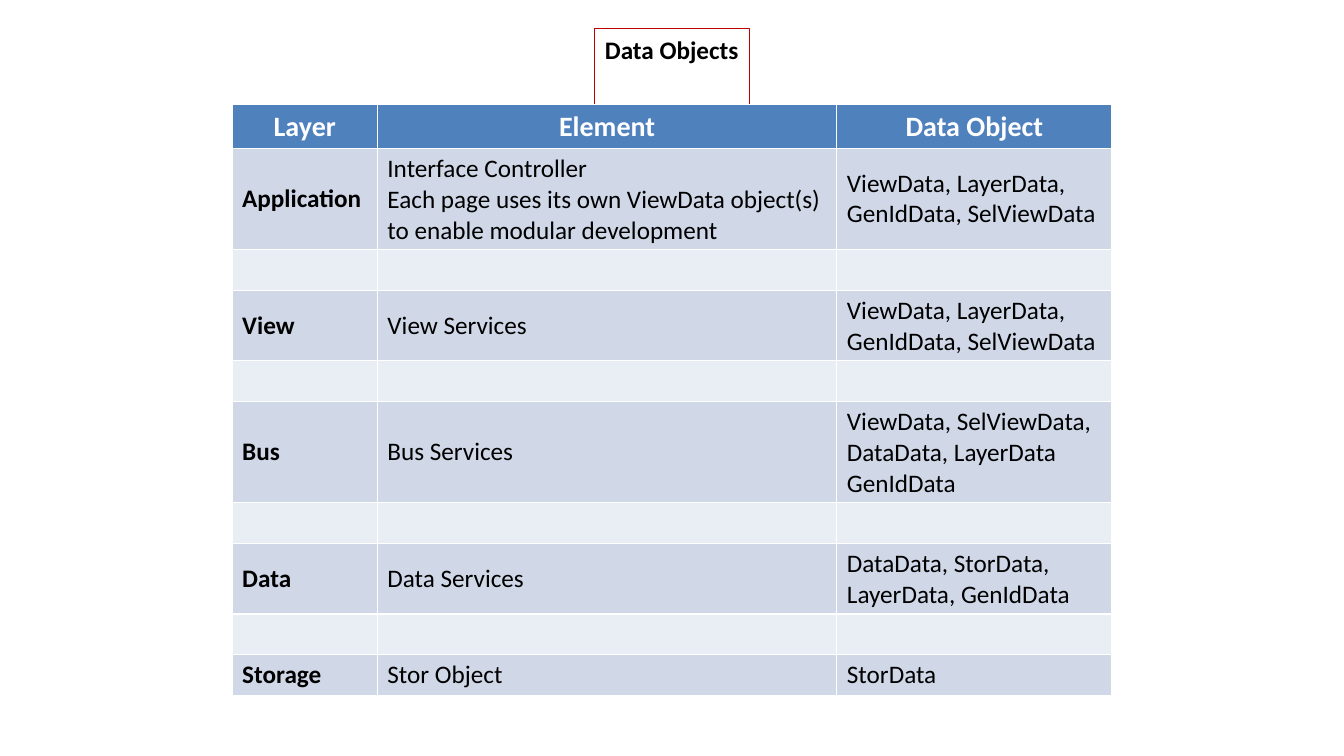
from pptx import Presentation
from pptx.dml.color import RGBColor
from pptx.enum.text import MSO_ANCHOR, MSO_AUTO_SIZE, PP_ALIGN
from pptx.util import Cm, Pt

CENTER = PP_ALIGN.CENTER
LEFT = PP_ALIGN.LEFT
MIDDLE = MSO_ANCHOR.MIDDLE
TOP = MSO_ANCHOR.TOP
FIT_SHAPE = MSO_AUTO_SIZE.SHAPE_TO_FIT_TEXT
TITLE_ONLY = 5
FONT = "Calibri"
COLORS = {
    "header": "4F81BD",
    "layer": "D0D8E8",
    "gap": "E9EDF4",
    "header_text": "FFFFFF",
    "text": "000000",
    "frame": "C00000",
}

HEADINGS = ("Layer", "Element", "Data Object")
LAYERS = [
    ("Application",
     "Interface Controller\nEach page uses its own ViewData object(s)\nto enable modular development",
     "ViewData, LayerData,\nGenIdData, SelViewData"),
    ("View", "View Services", "ViewData, LayerData,\nGenIdData, SelViewData"),
    ("Bus", "Bus Services", "ViewData, SelViewData,\nDataData, LayerData\nGenIdData"),
    ("Data", "Data Services", "DataData, StorData,\nLayerData, GenIdData"),
    ("Storage", "Stor Object", "StorData"),
]
COLUMN_WIDTHS = (3.66, 11.58, 6.93)
ROW_HEIGHT = 1.03


def color(name):
    return RGBColor.from_string(COLORS[name])


def style_text(frame, size, text_color, bold, alignment):
    for paragraph in frame.paragraphs:
        paragraph.alignment = alignment
        for run in paragraph.runs:
            run.font.name = FONT
            run.font.size = Pt(size)
            run.font.bold = bold
            run.font.color.rgb = color(text_color)


presentation = Presentation()
presentation.slide_width = Cm(33.87)
presentation.slide_height = Cm(19.05)
slide = presentation.slides.add_slide(presentation.slide_layouts[TITLE_ONLY])

rows = [HEADINGS]
for layer in LAYERS:
    rows += [layer, ("", "", "")]
rows.pop()

objects_frame = slide.shapes.add_table(
    len(rows), len(HEADINGS), Cm(5.85), Cm(2.64), Cm(sum(COLUMN_WIDTHS)), Cm(14.88))
objects_table = objects_frame.table
for column, width in zip(objects_table.columns, COLUMN_WIDTHS):
    column.width = Cm(width)

for row_index, texts in enumerate(rows):
    objects_table.rows[row_index].height = Cm(ROW_HEIGHT)
    is_header = row_index == 0
    band = "header" if is_header else "layer" if row_index % 2 else "gap"
    for column_index, text in enumerate(texts):
        cell = objects_table.cell(row_index, column_index)
        cell.fill.solid()
        cell.fill.fore_color.rgb = color(band)
        cell.vertical_anchor = MIDDLE if band == "layer" else TOP
        if text:
            cell.text_frame.text = text
            if is_header:
                style_text(cell.text_frame, 20, "header_text", True, CENTER)
            else:
                style_text(cell.text_frame, 18, "text", column_index == 0, LEFT)
objects_frame.height = Cm(14.88)

heading = slide.shapes.title
heading.left, heading.top = Cm(14.99), Cm(0.73)
heading.width, heading.height = Cm(3.91), Cm(1.03)
heading.line.color.rgb = color("frame")
heading.line.width = Pt(0.75)
heading.text_frame.text = "Data Objects"
heading.text_frame.word_wrap = False
heading.text_frame.auto_size = FIT_SHAPE
heading.text_frame.vertical_anchor = TOP
style_text(heading.text_frame, 18, "text", True, LEFT)

presentation.save("out.pptx")
